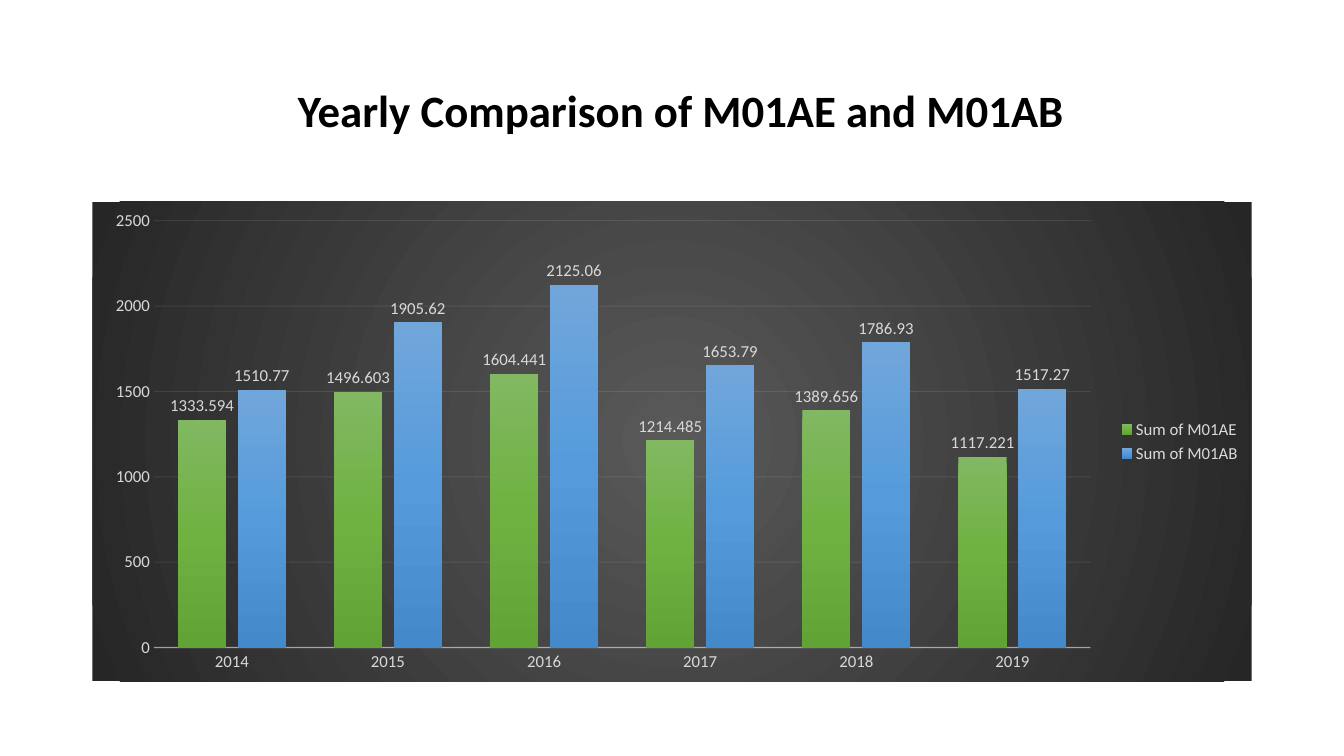
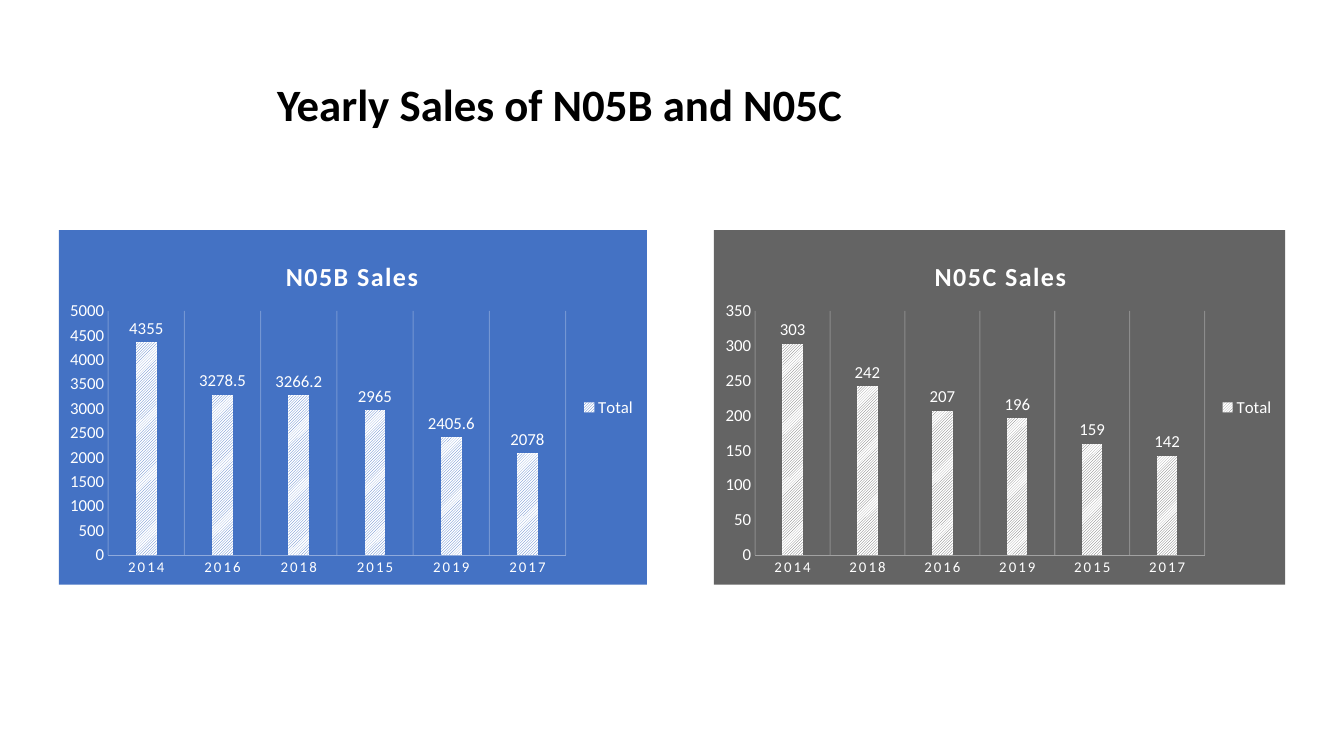
"""Build two slides of yearly sales column charts."""
from dataclasses import dataclass

from lxml.etree import SubElement
from pptx import Presentation
from pptx.chart.data import CategoryChartData
from pptx.dml.color import RGBColor
from pptx.enum.chart import XL_CHART_TYPE, XL_LABEL_POSITION, XL_LEGEND_POSITION, XL_TICK_MARK
from pptx.enum.dml import MSO_PATTERN
from pptx.enum.text import MSO_ANCHOR
from pptx.oxml import parse_xml
from pptx.oxml.ns import nsdecls, qn
from pptx.util import Inches, Pt


@dataclass(frozen=True)
class Theme:
    """Colours, type sizes and the grid shared by the slides."""
    face: str = "Calibri"
    ink: str = "000000"
    white: str = "FFFFFF"
    pale: str = "D9D9D9"
    rule: str = "F2F2F2"
    blue: str = "4472C4"
    gray: str = "646464"
    glow: tuple = ((0, "595959"), (100, "262626"))
    leaf: tuple = ((0, "81B861"), (50, "6FB242"), (100, "62A336"))
    sky: tuple = ((0, "71A6DB"), (50, "559BDB"), (100, "448ACA"))
    head: float = 32
    sub: float = 18.6
    small: float = 12
    tick: float = 10.6
    cols: int = 160
    rows: int = 90


THEME = Theme()
SIZE = Inches(13.33), Inches(7.5)


def put(item, **vals):
    """Set each named format value on an item."""
    for name, val in vals.items():
        setattr(item, name, val)


def style(font, size, hue, bold=False, gap=0):
    """Set a font, with letter spacing in points."""
    put(font, name=THEME.face, size=Pt(size), bold=bold)
    font.color.rgb = RGBColor.from_string(hue)
    if gap:
        font._rPr.set("spc", str(round(gap * 100)))


def cell(col, row, wide, high):
    """Turn grid columns and rows into lengths."""
    across, down = SIZE[0] / THEME.cols, SIZE[1] / THEME.rows
    return [round(n * unit) for n, unit in zip((col, row, wide, high), (across, down) * 2)]


def blend(stops, shape):
    """Return a gradient fill with the given stops."""
    marks = "".join(f'<a:gs pos="{at * 1000}"><a:srgbClr val="{hue}"/></a:gs>' for at, hue in stops)
    return f'<a:gradFill {nsdecls("a")}><a:gsLst>{marks}</a:gsLst>{shape}</a:gradFill>'


def radial(stops):
    """Return a gradient that spreads from the centre."""
    return blend(stops, '<a:path path="circle"><a:fillToRect l="50000" t="50000" r="50000" b="50000"/></a:path>')


def solid(hue):
    """Return a plain fill."""
    return f'<a:solidFill {nsdecls("a")}><a:srgbClr val="{hue}"/></a:solidFill>'


def back(chart, fill):
    """Fill the chart area without a border."""
    area = parse_xml(f'<c:spPr {nsdecls("c", "a")}>{fill}<a:ln><a:noFill/></a:ln></c:spPr>')
    chart._chartSpace.find(qn("c:chart")).addnext(area)


def place(node, inner=False, **share):
    """Place a chart part by shares of the chart's size."""
    old = node.find(qn("c:layout"))
    spot = 0 if old is None else node.index(old)
    if old is not None:
        node.remove(old)
    rules = {"layoutTarget": "inner"} if inner else {}
    rules.update(xMode="edge", yMode="edge", **share)
    body = "".join(f'<c:{key} val="{val}"/>' for key, val in rules.items())
    node.insert(spot, parse_xml(
        f'<c:layout {nsdecls("c")}><c:manualLayout>{body}</c:manualLayout></c:layout>'))


def stroke(line, hue, width, part=100):
    """Set a line's colour, width and opacity."""
    line.color.rgb = RGBColor.from_string(hue)
    line.width = Pt(width)
    if part < 100:
        tint = line._get_or_add_ln().find(".//" + qn("a:srgbClr"))
        SubElement(tint, qn("a:alpha")).set("val", str(part * 1000))


def title(slide, text, col, row):
    """Add the slide's heading."""
    frame = slide.shapes.add_textbox(*cell(col, row, THEME.cols - col, 17.4)).text_frame
    put(frame, word_wrap=True, vertical_anchor=MSO_ANCHOR.MIDDLE)
    para = frame.paragraphs[0]
    put(para, text=text, line_spacing=0.9)
    style(para.runs[0].font, THEME.head, THEME.ink, True)


def columns(slide, box, years, sets, hue, plan, top, step, gap, lap):
    """Add a clustered column chart with labels and a legend."""
    data = CategoryChartData()
    data.categories = years
    for name, vals in sets:
        data.add_series(name, vals)
    chart = slide.shapes.add_chart(XL_CHART_TYPE.COLUMN_CLUSTERED, *cell(*box), data).chart
    style(chart.font, THEME.small, hue)
    put(chart, has_title=False, has_legend=True)
    put(chart.legend, position=XL_LEGEND_POSITION.RIGHT, include_in_layout=False)
    style(chart.legend.font, THEME.small, hue)
    plot = chart.plots[0]
    put(plot, gap_width=gap, overlap=lap, vary_by_categories=False, has_data_labels=True)
    put(plot.data_labels, show_value=True, position=XL_LABEL_POSITION.OUTSIDE_END)
    style(plot.data_labels.font, THEME.small, hue)
    for axis in (chart.category_axis, chart.value_axis):
        put(axis, major_tick_mark=XL_TICK_MARK.NONE, minor_tick_mark=XL_TICK_MARK.NONE)
        style(axis.tick_labels.font, THEME.small, hue)
    put(chart.value_axis, minimum_scale=0, maximum_scale=top, major_unit=step)
    chart.value_axis.format.line.fill.background()
    place(chart._chartSpace.find(".//" + qn("c:plotArea")), True, **dict(zip("xywh", plan)))
    return chart


def compare(slide):
    """Add the dark chart of two products."""
    sets = (("Sum of M01AE", (1333.594, 1496.603, 1604.441, 1214.485, 1389.656, 1117.221)),
            ("Sum of M01AB", (1510.77, 1905.62, 2125.06, 1653.79, 1786.93, 1517.27)))
    years = [str(year) for year in range(2014, 2020)]
    chart = columns(slide, (11, 24, 138, 57.1), years, sets, THEME.pale,
                    (0.053, 0.04, 0.808, 0.89), 2500, 500, 100, -24)
    back(chart, radial(THEME.glow))
    stroke(chart.category_axis.format.line, THEME.rule, 1, 54)
    stroke(chart.value_axis.major_gridlines.format.line, THEME.rule, 0.75, 10)
    for bars, stops in zip(chart.plots[0].series, (THEME.leaf, THEME.sky)):
        fill = parse_xml(blend(stops, '<a:lin ang="5400000" scaled="0"/>'))
        bars._element.get_or_add_spPr().insert(0, fill)


def sales(slide, name, box, hue, edge, pairs, plan, top, step):
    """Add a striped chart of one product on a plain ground."""
    years, vals = zip(*pairs)
    chart = columns(slide, box, years, [("Total", vals)], THEME.white, plan, top, step, 269, -20)
    back(chart, solid(hue))
    para = chart.chart_title.text_frame.paragraphs[0]
    para.text = name
    style(para.runs[0].font, THEME.sub, THEME.white, True, 1)
    place(chart.chart_title._element, x=0.378, y=0.065)
    axis = chart.category_axis
    style(axis.tick_labels.font, THEME.tick, THEME.white, gap=1.5)
    axis.has_major_gridlines = True
    chart.value_axis.has_major_gridlines = False
    stroke(axis.major_gridlines.format.line, THEME.white, 0.75, 25)
    stroke(axis.format.line, edge, 0.25)
    fill = chart.plots[0].series[0].format.fill
    fill.patterned()
    fill.pattern = MSO_PATTERN.LIGHT_UPWARD_DIAGONAL
    fill.fore_color.rgb = RGBColor.from_string(hue)
    fill.back_color.rgb = RGBColor.from_string(THEME.white)


def main():
    """Build and save the deck."""
    deck = Presentation()
    put(deck, slide_width=SIZE[0], slide_height=SIZE[1])
    first, second = (deck.slides.add_slide(deck.slide_layouts[6]) for _ in range(2))
    title(first, "Yearly Comparison of M01AE and M01AB", 34.3, 4.7)
    compare(first)
    title(second, "Yearly Sales of N05B and N05C", 31.8, 4)
    sales(second, "N05B Sales", (7, 27.4, 70, 42.2), THEME.blue, "8FAADC",
          (("2014", 4355), ("2016", 3278.5), ("2018", 3266.2),
           ("2015", 2965), ("2019", 2405.6), ("2017", 2078)),
          (0.084, 0.228, 0.778, 0.688), 5000, 500)
    sales(second, "N05C Sales", (85, 27.4, 68, 42.2), THEME.gray, "A2A2A2",
          (("2014", 303), ("2018", 242), ("2016", 207),
           ("2019", 196), ("2015", 159), ("2017", 142)),
          (0.072, 0.228, 0.787, 0.688), 350, 50)
    deck.save("out.pptx")


if __name__ == "__main__":
    main()
